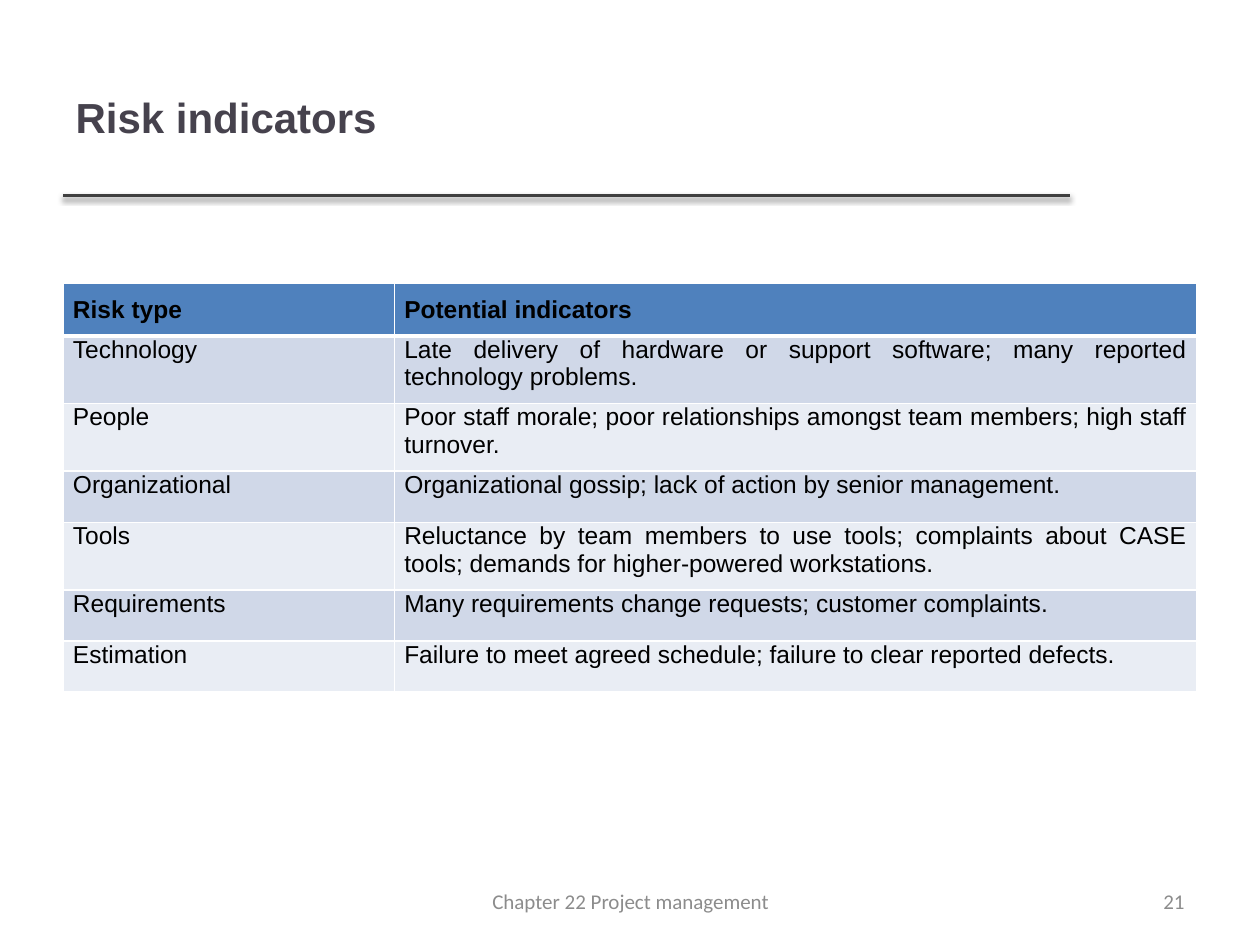
"""Build the risk indicators slide: ruled title, two-column table and footer."""
from dataclasses import dataclass

from lxml import etree
from pptx import Presentation
from pptx import util as u
from pptx.dml.color import RGBColor
from pptx.enum import shapes, text
from pptx.oxml import parse_xml
from pptx.oxml.ns import nsdecls, qn

LEFT = 1.27
RULE_Y = 3.94
ROW_HEIGHT = 1.03
COLUMN_WIDTHS = (6.68, 16.18)
HEADER_FILL = "4F81BD"
BAND_FILLS = ("D0D8E8", "E9EDF4")
BORDER = "FFFFFF"


@dataclass
class Risk:
    kind: str
    indicators: str


@dataclass
class FooterItem:
    label: str
    left: float
    width: float
    align: text.PP_ALIGN


HEADER = Risk("Risk type", "Potential indicators")
RISKS = [
    Risk("Technology", "Late delivery of hardware or support software; many reported technology problems."),
    Risk("People", "Poor staff morale; poor relationships amongst team members; high staff turnover."),
    Risk("Organizational", "Organizational gossip; lack of action by senior management."),
    Risk("Tools", "Reluctance by team members to use tools; complaints about CASE tools; "
                  "demands for higher-powered workstations."),
    Risk("Requirements", "Many requirements change requests; customer complaints."),
    Risk("Estimation", "Failure to meet agreed schedule; failure to clear reported defects."),
]
FOOTER = [
    FooterItem("21", 18.21, 5.92, text.PP_ALIGN.RIGHT),
    FooterItem("Chapter 22 Project management", 8.69, 8.05, text.PP_ALIGN.CENTER),
]


def rgb(value: str) -> RGBColor:
    return RGBColor.from_string(value)


def place(sp, left: float, top: float, width: float, height: float) -> None:
    sp.left, sp.top, sp.width, sp.height = map(u.Cm, (left, top, width, height))


def write(tf, label: str, font: str, size: float, color: str,
          align: text.PP_ALIGN, bold: bool = False) -> None:
    tf.text = label
    tf.word_wrap = True
    p = tf.paragraphs[0]
    p.alignment = align
    p.font.name, p.font.size, p.font.bold = font, u.Pt(size), bold
    p.font.color.rgb = rgb(color)


def add_title(s, label: str) -> None:
    sp = s.shapes.title
    place(sp, LEFT, 0.76, 20.27, 3.18)
    write(sp.text_frame, label, "Arial", 24, "46424D", text.PP_ALIGN.LEFT, True)
    sp.text_frame.vertical_anchor = text.MSO_ANCHOR.MIDDLE


def add_rule(s) -> None:
    line = s.shapes.add_connector(shapes.MSO_CONNECTOR.STRAIGHT, u.Cm(LEFT), u.Cm(RULE_Y),
                                  u.Cm(21.56), u.Cm(RULE_Y))
    line.line.color.rgb = rgb("404040")
    line.line.width = u.Pt(2)
    line._element.spPr.append(parse_xml(
        f'<a:effectLst {nsdecls("a")}><a:outerShdw blurRad="{u.Pt(3.1)}" dist="{u.Pt(1.6)}" '
        'dir="5400000" rotWithShape="0"><a:srgbClr val="000000"><a:alpha val="38000"/>'
        '</a:srgbClr></a:outerShdw></a:effectLst>'))


def set_borders(cell, top: float, bottom: float) -> None:
    tc_pr = cell._tc.get_or_add_tcPr()
    for side, width in (("L", 1), ("R", 1), ("T", top), ("B", bottom)):
        ln = etree.SubElement(tc_pr, qn(f"a:ln{side}"), w=str(u.Pt(width)))
        fill = etree.SubElement(ln, qn("a:solidFill"))
        etree.SubElement(fill, qn("a:srgbClr"), val=BORDER)


def fill_row(cells, risk: Risk, index: int) -> None:
    header = index == 0
    for cell, label in zip(cells, (risk.kind, risk.indicators)):
        set_borders(cell, 3 if index == 1 else 1, 3 if header else 1)
        cell.fill.solid()
        cell.fill.fore_color.rgb = rgb(HEADER_FILL if header else BAND_FILLS[(index - 1) % 2])
        cell.margin_left = cell.margin_right = u.Cm(0.2)
        cell.margin_top = u.Cm(0.25 if header else 0)
        cell.margin_bottom = u.Cm(0.25)
        write(cell.text_frame, label, "Arial", 14, "000000", text.PP_ALIGN.JUSTIFY, header)


def add_risk_table(s) -> None:
    rows = [HEADER, *RISKS]
    table = s.shapes.add_table(len(rows), len(COLUMN_WIDTHS), u.Cm(LEFT), u.Cm(5.72),
                               u.Cm(sum(COLUMN_WIDTHS)), u.Cm(ROW_HEIGHT * len(rows))).table
    for column, width in zip(table.columns, COLUMN_WIDTHS):
        column.width = u.Cm(width)
    for index, (row, risk) in enumerate(zip(table.rows, rows)):
        row.height = u.Cm(ROW_HEIGHT)
        fill_row(row.cells, risk, index)


def add_footer_item(s, item: FooterItem) -> None:
    sp = s.shapes.add_textbox(u.Cm(item.left), u.Cm(17.65), u.Cm(item.width), u.Cm(1.02))
    write(sp.text_frame, item.label, "Calibri", 12, "8C8C8C", item.align)
    sp.text_frame.vertical_anchor = text.MSO_ANCHOR.MIDDLE


def main() -> None:
    prs = Presentation()
    prs.slide_width, prs.slide_height = u.Cm(25.4), u.Cm(19.05)
    s = prs.slides.add_slide(prs.slide_layouts.get_by_name("Title Only"))
    add_rule(s)
    add_title(s, "Risk indicators")
    add_risk_table(s)
    for item in FOOTER:
        add_footer_item(s, item)
    prs.save("out.pptx")


if __name__ == "__main__":
    main()
